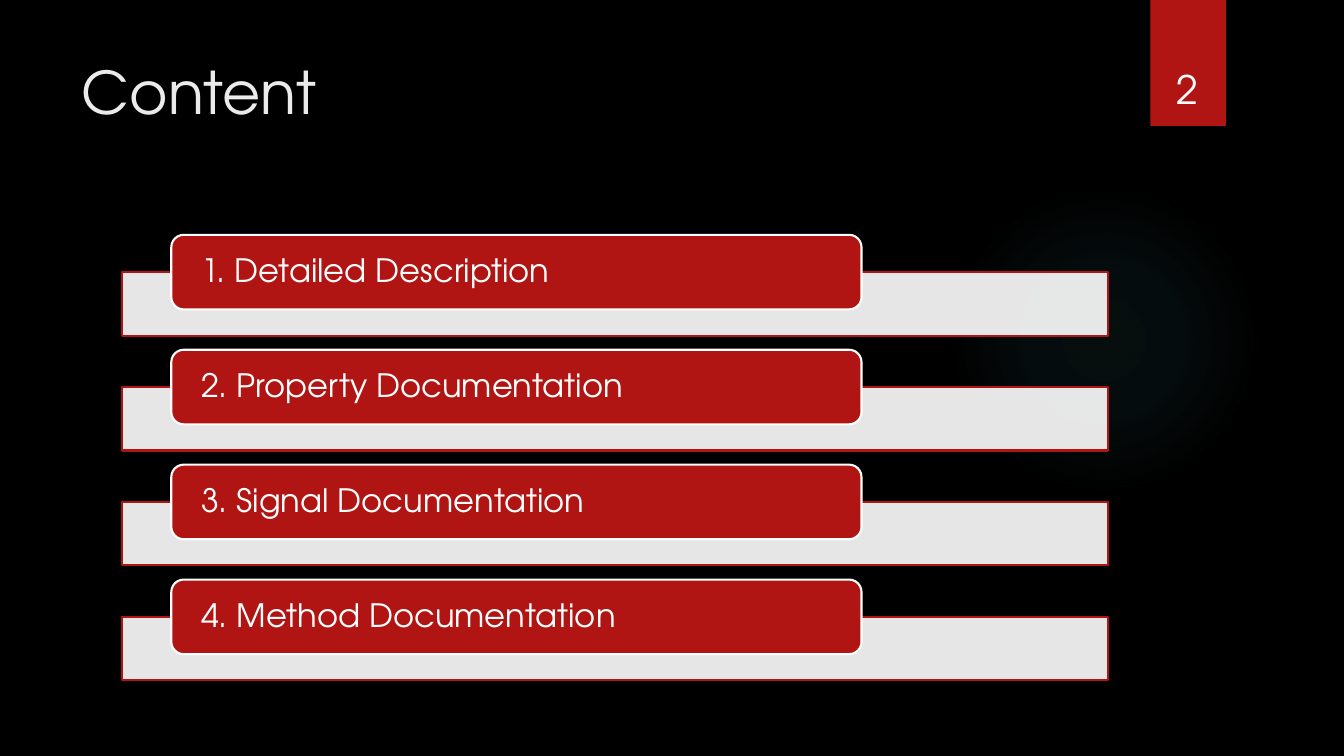
from dataclasses import dataclass

from lxml import etree
from pptx import Presentation
from pptx.dml.color import RGBColor
from pptx.enum.shapes import MSO_SHAPE as SHAPE
from pptx.enum.text import MSO_ANCHOR as ANCHOR, MSO_AUTO_SIZE as FIT, PP_ALIGN as ALIGN
from pptx.oxml import parse_xml
from pptx.oxml.ns import nsdecls, qn
from pptx.util import Inches, Pt


@dataclass(frozen=True)
class Theme:
    """Colours, font and type sizes of the deck."""
    font: str = "TeX Gyre Adventor"
    back: str = "000000"
    accent: str = "B01513"
    light: str = "FFFFFF"
    heading: str = "EBEBEB"
    glow: str = "50B9C1"
    title_size: int = 42
    number_size: int = 28
    item_size: int = 23
    line_width: float = 1.5


THEME = Theme()
ITEMS = ["Detailed Description", "Property Documentation",
         "Signal Documentation", "Method Documentation"]


def set_attrs(obj, values):
    """Set each attribute named in a dict of format values."""
    for name, value in values.items():
        setattr(obj, name, value)


def write(sp, text, size, color, frame, para):
    """Write one formatted paragraph into a shape."""
    tf = sp.text_frame
    set_attrs(tf, {"word_wrap": True, "auto_size": FIT.NONE, **frame})
    p = tf.paragraphs[0]
    set_attrs(p, para)
    r = p.add_run()
    r.text = text
    set_attrs(r.font, {"name": THEME.font, "size": Pt(size)})
    r.font.color.rgb = RGBColor.from_string(color)


def add_box(slide, kind, box, fill, line=None):
    """Add a flat preset shape with a solid fill and an optional outline."""
    sp = slide.shapes.add_shape(kind, *map(Inches, box))
    sp.shadow.inherit = False
    sp.fill.solid()
    sp.fill.fore_color.rgb = RGBColor.from_string(fill)
    if line:
        sp.line.color.rgb = RGBColor.from_string(line)
        sp.line.width = Pt(THEME.line_width)
    else:
        sp.line.fill.background()
    return sp


def add_glow(slide, box):
    """Add a soft round glow that fades towards its edge."""
    sp = add_box(slide, SHAPE.OVAL, box, THEME.glow)
    stops = "".join(
        f'<a:gs pos="{pos * 1000}"><a:srgbClr val="{THEME.glow}">'
        f'<a:alpha val="{alpha * 1000}"/></a:srgbClr></a:gs>'
        for pos, alpha in [(0, 7), (36, 6), (69, 0)])
    grad = parse_xml(
        f'<a:gradFill {nsdecls("a")}><a:gsLst>{stops}</a:gsLst><a:path path="circle">'
        '<a:fillToRect l="50000" t="50000" r="50000" b="50000"/></a:path></a:gradFill>')
    props = sp.fill._xPr
    props.replace(props.find(qn("a:solidFill")), grad)


def add_title(slide, box, text):
    """Place and fill the title placeholder."""
    sp = slide.shapes.title
    set_attrs(sp, dict(zip(("left", "top", "width", "height"), map(Inches, box))))
    write(sp, text, THEME.title_size, THEME.heading,
          {"vertical_anchor": ANCHOR.TOP}, {"alignment": ALIGN.LEFT})


def add_page_tag(slide, box, number):
    """Add the page ribbon with its number near the foot."""
    left, top, width, height = box
    add_box(slide, SHAPE.RECTANGLE, box, THEME.accent)
    sp = slide.shapes.add_textbox(
        *map(Inches, (left - 0.09, top + 0.32, width + 0.17, height - 0.41)))
    write(sp, str(number), THEME.number_size, THEME.light,
          {"vertical_anchor": ANCHOR.BOTTOM}, {"alignment": ALIGN.CENTER})


def add_entry(slide, box, text):
    """Add a pale bar with a rounded label overlapping its upper edge."""
    left, top, width, height = box
    bar = add_box(slide, SHAPE.RECTANGLE, (left, top + 0.37, width, height - 0.37),
                  THEME.light, THEME.accent)
    color = bar.fill._xPr.find(qn("a:solidFill"))[0]
    etree.SubElement(color, qn("a:alpha")).set("val", "90000")
    label = add_box(slide, SHAPE.ROUNDED_RECTANGLE,
                    (left + width * 0.05, top, width * 0.7, 0.74),
                    THEME.accent, THEME.light)
    write(label, text, THEME.item_size, THEME.light,
          {"vertical_anchor": ANCHOR.MIDDLE, "margin_left": Inches(0.26),
           "margin_right": Inches(0.26), "margin_top": 0, "margin_bottom": 0},
          {"alignment": ALIGN.LEFT, "line_spacing": 0.9})


def add_contents(slide, box, items):
    """Stack the numbered entries at an even pitch inside the box."""
    left, top, width, height = box
    gap = 0.14
    entry = (height + gap) / len(items) - gap
    for i, item in enumerate(items):
        add_entry(slide, (left, top + i * (entry + gap), width, entry), f"{i + 1}. {item}")


def add_contents_slide(prs):
    """Build the contents slide."""
    slide = prs.slides.add_slide(prs.slide_layouts[5])
    slide.background.fill.solid()
    slide.background.fill.fore_color.rgb = RGBColor.from_string(THEME.back)
    add_glow(slide, (9.41, 1.83, 3.08, 3.08))
    add_title(slide, (0.71, 0.5, 10.29, 1.53), "Content")
    add_contents(slide, (1.21, 2.33, 9.78, 4.42), ITEMS)
    add_page_tag(slide, (11.41, 0, 0.75, 1.25), 2)


def main():
    """Create and save the deck."""
    prs = Presentation()
    set_attrs(prs, {"slide_width": Inches(13.33), "slide_height": Inches(7.5)})
    add_contents_slide(prs)
    prs.save("out.pptx")


if __name__ == "__main__":
    main()
